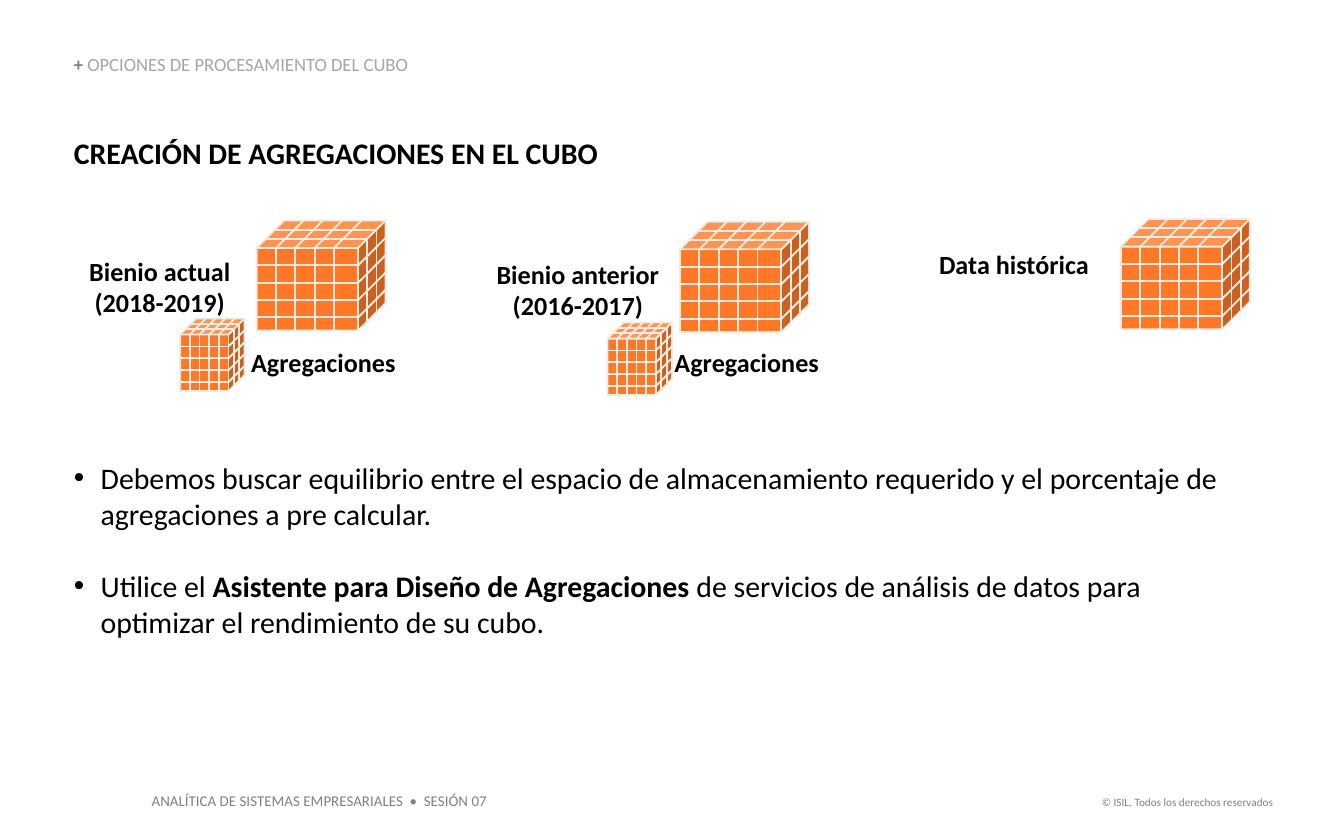
from lxml import etree
from pptx import Presentation
from pptx.dml.color import RGBColor
from pptx.enum.shapes import MSO_CONNECTOR, MSO_SHAPE
from pptx.enum.text import MSO_ANCHOR, PP_ALIGN
from pptx.oxml.ns import qn
from pptx.util import Inches, Pt

STRAIGHT = MSO_CONNECTOR.STRAIGHT
CUBE = MSO_SHAPE.CUBE
TOP, BOTTOM = MSO_ANCHOR.TOP, MSO_ANCHOR.BOTTOM
LEFT, CENTER, RIGHT = PP_ALIGN.LEFT, PP_ALIGN.CENTER, PP_ALIGN.RIGHT

BLACK = RGBColor(0x00, 0x00, 0x00)
GRAY = RGBColor(0x80, 0x80, 0x80)
LIGHT_GRAY = RGBColor(0xA6, 0xA6, 0xA6)
ORANGE = RGBColor(0xFE, 0x78, 0x28)
CREAM = RGBColor(0xEE, 0xEC, 0xE1)

FONT = "Calibri"
DEPTH = 0.25
COLUMN_STEP = 0.15
ROW_STEP = 0.21

LARGE, SMALL = (0.96, 0.82), (0.48, 0.54)
CUBES = [
    (5.06, 1.65, LARGE),
    (1.91, 1.64, LARGE),
    (8.34, 1.63, LARGE),
    (4.52, 2.40, SMALL),
    (1.34, 2.37, SMALL),
]
LABELS = [
    (0.56, 1.85, 1.26, 0.57, ["Bienio actual", "(2018-2019)"], CENTER),
    (3.59, 1.87, 1.42, 0.57, ["Bienio anterior", "(2016-2017)"], CENTER),
    (6.88, 1.80, 1.33, 0.34, ["Data histórica"], CENTER),
    (1.77, 2.53, 1.29, 0.34, ["Agregaciones"], LEFT),
    (4.92, 2.53, 1.29, 0.34, ["Agregaciones"], LEFT),
]
ADVICE = [
    "Debemos buscar equilibrio entre el espacio de almacenamiento requerido "
    "y el porcentaje de agregaciones a pre calcular.",
    [
        ("Utilice el ", {}),
        ("Asistente para Diseño de Agregaciones ", {"bold": True}),
        ("de servicios de análisis de datos para optimizar el rendimiento de su cubo.", {}),
    ],
]


def add_bullet(p):
    pPr = p._p.get_or_add_pPr()
    pPr.set("marL", str(Inches(0.2)))
    pPr.set("indent", str(Inches(-0.2)))
    etree.SubElement(pPr, qn("a:buFont")).set("typeface", "Arial")
    etree.SubElement(pPr, qn("a:buChar")).set("char", "•")


def add_text(s, x, y, w, h, paragraphs, size=14, color=BLACK, bold=False, align=LEFT,
             anchor=TOP, inset=True, wrap=False, bullets=False, gap=0, spacing=None):
    tf = s.shapes.add_textbox(Inches(x), Inches(y), Inches(w), Inches(h)).text_frame
    tf.word_wrap = wrap
    tf.vertical_anchor = anchor
    if not inset:
        tf.margin_left = tf.margin_top = tf.margin_right = tf.margin_bottom = 0
    for i, content in enumerate(paragraphs):
        p = tf.paragraphs[0] if i == 0 else tf.add_paragraph()
        if bullets:
            add_bullet(p)
        p.alignment = align
        if spacing:
            p.line_spacing = spacing
        if i and gap:
            p.space_before = Pt(gap)
        runs = [(content, {})] if isinstance(content, str) else content
        for text, style in runs:
            r = p.add_run()
            r.text = text
            r.font.name = FONT
            r.font.size = Pt(size)
            r.font.bold = style.get("bold", bold)
            r.font.color.rgb = style.get("color", color)


def add_line(s, x1, y1, x2, y2):
    line = s.shapes.add_connector(STRAIGHT, Inches(x1), Inches(y1), Inches(x2), Inches(y2))
    line.line.color.rgb = CREAM
    line.line.width = Pt(1)
    etree.SubElement(line._element.spPr, qn("a:effectLst"))


def add_cube(s, x, y, w, h):
    cube = s.shapes.add_shape(CUBE, Inches(x), Inches(y), Inches(w), Inches(h))
    cube.adjustments[0] = DEPTH
    cube.shadow.inherit = False
    cube.fill.solid()
    cube.fill.fore_color.rgb = ORANGE
    cube.line.color.rgb = CREAM
    cube.line.width = Pt(1)

    d = DEPTH * min(w, h)
    right, bottom, front_top = x + w - d, y + h, y + d
    for i in range(1, 5):
        column = x + i * COLUMN_STEP * w
        row = front_top + i * ROW_STEP * (h - d)
        add_line(s, column, front_top, column, bottom)
        add_line(s, column, front_top, column + d, y)
        add_line(s, x, row, right, row)
        add_line(s, right, row, x + w, row - d)
    for i in (1, 2):
        shift = i * d / 3
        add_line(s, right + shift, front_top - shift, right + shift, bottom - shift)
        add_line(s, x + shift, front_top - shift, right + shift, front_top - shift)


def main():
    prs = Presentation()
    prs.slide_width = Inches(10)
    prs.slide_height = Inches(6.25)
    s = prs.slides.add_slide(prs.slide_layouts[6])

    add_text(s, 1.03, 5.84, 2.7, 0.24,
             ["ANALÍTICA DE SISTEMAS EMPRESARIALES\u00a0 •\u00a0 SESIÓN 07".replace("\u00a0", " ")],
             size=8, color=GRAY)
    add_text(s, 8.07, 5.87, 1.5, 0.2, ["© ISIL. Todos los derechos reservados"],
             size=6, color=GRAY, align=RIGHT)
    add_text(s, 0.55, 0.41, 3.8, 0.15,
             [[("+ ", {"bold": True}),
               ("OPCIONES DE PROCESAMIENTO DEL CUBO", {"color": LIGHT_GRAY})]],
             size=10, color=GRAY, anchor=BOTTOM, inset=False, wrap=True, spacing=0.9)
    add_text(s, 0.55, 1, 3.95, 0.27, ["CREACIÓN DE AGREGACIONES EN EL CUBO"],
             size=16, bold=True, inset=False)

    for x, y, size in CUBES:
        add_cube(s, x, y, *size)
    for x, y, w, h, lines, align in LABELS:
        add_text(s, x, y, w, h, lines, bold=True, align=align)
    add_text(s, 0.55, 3.42, 8.74, 1.39, ADVICE,
             size=16, inset=False, wrap=True, bullets=True, gap=19.5)

    prs.save("out.pptx")


if __name__ == "__main__":
    main()
